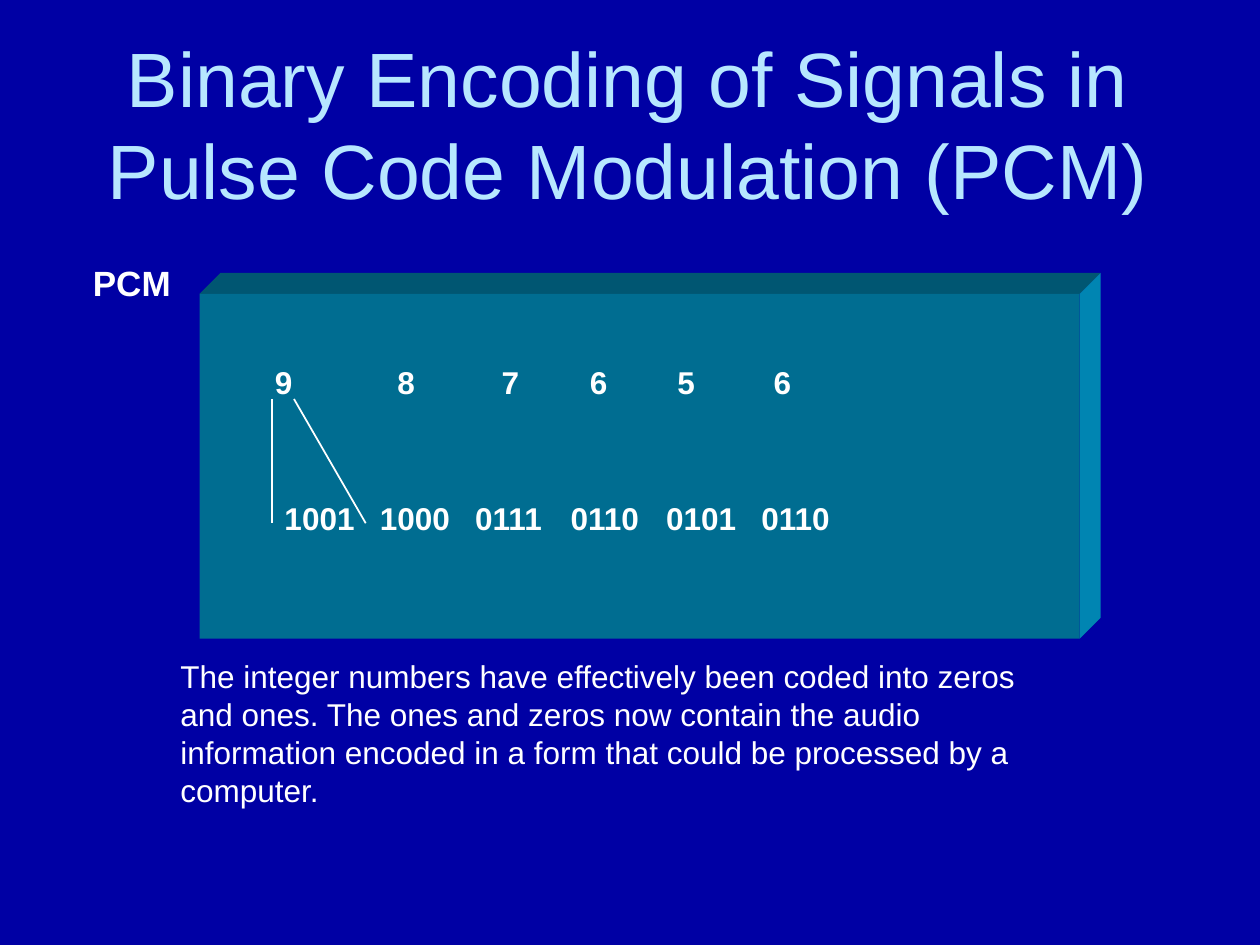
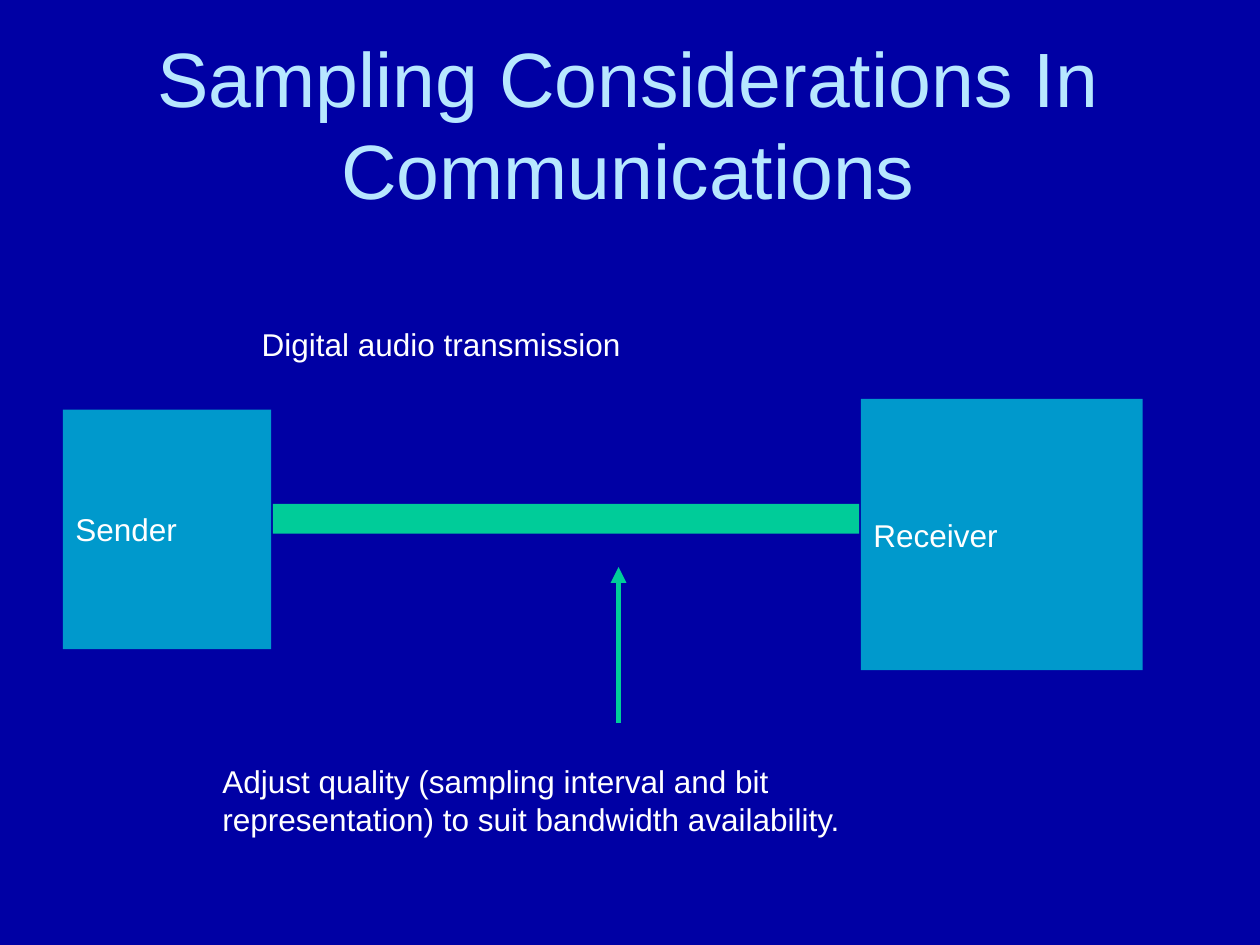
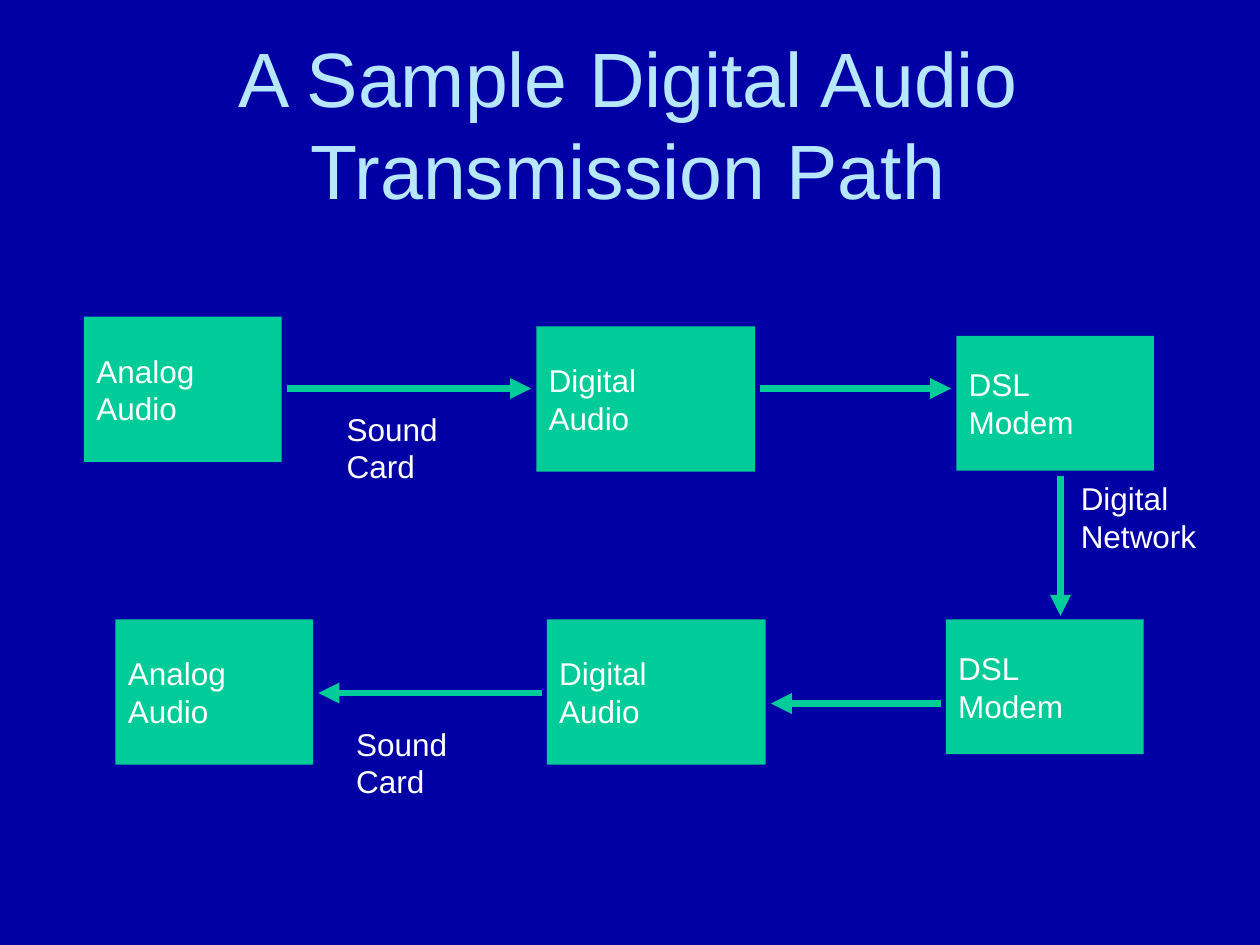
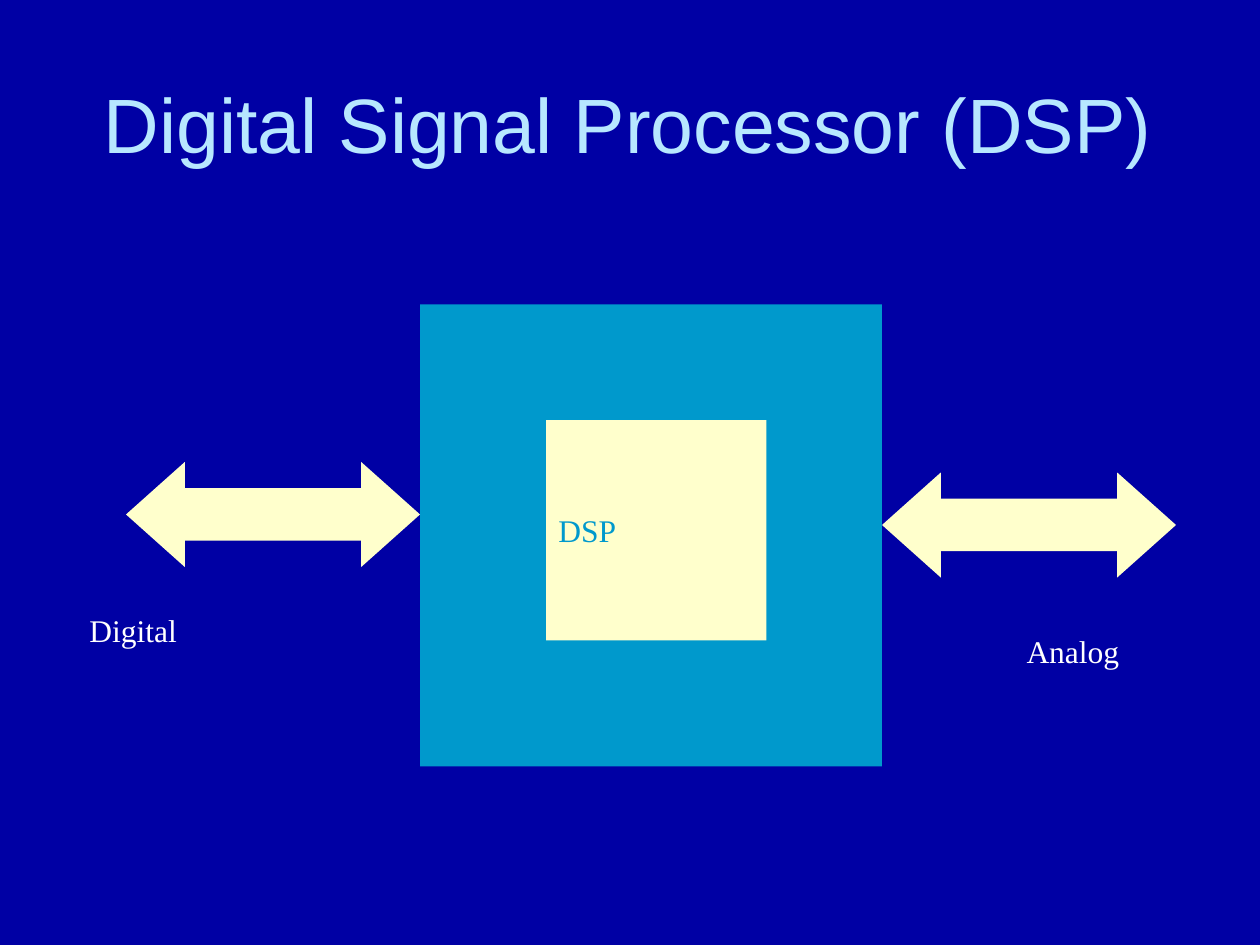
import collections

import pptx
import pptx.dml.color
import pptx.enum.shapes
import pptx.enum.text
import pptx.oxml
import pptx.oxml.ns
import pptx.util

Pt = pptx.util.Pt
SHAPE = pptx.enum.shapes.MSO_SHAPE
ANCHOR = pptx.enum.text.MSO_ANCHOR
ALIGN = pptx.enum.text.PP_ALIGN

COLORS = {
    "background": "0000A4",
    "title": "B7E7FF",
    "text": "FFFFFF",
    "blue": "0099CC",
    "green": "00CC99",
    "cream": "FFFFCC",
    "panel_front": "006D91",
    "panel_top": "005672",
    "panel_side": "0085B2",
}
SANS, SERIF = "Arial", "Times New Roman"
BODY_SIZE = 18

Box = collections.namedtuple("Box", "left top width height")
TITLE_BOX = Box(24, 18, 670, 104.5)


# Shared helpers: all lengths are in points
def color(name):
    return pptx.dml.color.RGBColor.from_string(COLORS[name])


def inside(box, left, top, width, height):
    """Return a box whose corner is measured from the corner of another."""
    return Box(box.left + left, box.top + top, width, height)


def add_xml(parent, tag, **attributes):
    element = pptx.oxml.parse_xml(f"<{tag} {pptx.oxml.ns.nsdecls('a')}/>")
    for name, value in attributes.items():
        element.set(name, str(value))
    parent.append(element)
    return element


def write(shape, text, size=BODY_SIZE, font=SANS, ink="text", bold=False,
          align=ALIGN.LEFT, anchor=ANCHOR.TOP):
    text_frame = shape.text_frame
    text_frame.word_wrap = True
    text_frame.vertical_anchor = anchor
    text_frame.text = text
    for paragraph in text_frame.paragraphs:
        paragraph.alignment = align
        for run in paragraph.runs:
            run.font.size = Pt(size)
            run.font.name = font
            run.font.bold = bold
            run.font.color.rgb = color(ink)


def add_text(slide, box, text, **style):
    shape = slide.shapes.add_textbox(*map(Pt, box))
    write(shape, text, **style)
    return shape


def paint(shape, fill):
    shape.shadow.inherit = False
    shape.fill.solid()
    shape.fill.fore_color.rgb = color(fill)
    shape.line.fill.background()


def add_block(slide, box, fill, text="", kind=SHAPE.RECTANGLE, **style):
    shape = slide.shapes.add_shape(kind, *map(Pt, box))
    paint(shape, fill)
    if text:
        write(shape, text, anchor=ANCHOR.MIDDLE, **style)
    return shape


def add_face(slide, points, fill):
    corners = [(Pt(x), Pt(y)) for x, y in points]
    builder = slide.shapes.build_freeform(*corners[0])
    builder.add_line_segments(corners[1:], close=True)
    paint(builder.convert_to_shape(), fill)


def add_line(slide, start, end, ink, width, arrow=False):
    connector = slide.shapes.add_connector(
        pptx.enum.shapes.MSO_CONNECTOR.STRAIGHT, *map(Pt, start + end))
    connector.line.color.rgb = color(ink)
    connector.line.width = Pt(width)
    if arrow:
        add_xml(connector.line._get_or_add_ln(), "a:tailEnd", type="triangle")
    add_xml(connector._element.spPr, "a:effectLst")


def add_tabbed_row(slide, box, values, stops):
    shape = add_text(slide, box, "\t".join(values), bold=True)
    properties = shape.text_frame.paragraphs[0]._p.get_or_add_pPr()
    tab_list = add_xml(properties, "a:tabLst")
    for stop in stops:
        add_xml(tab_list, "a:tab", pos=int(Pt(stop)), algn="l")


def add_titled_slide(presentation, title):
    slide = presentation.slides.add_slide(presentation.slide_layouts[6])
    add_text(slide, TITLE_BOX, title, size=44, ink="title",
             align=ALIGN.CENTER, anchor=ANCHOR.MIDDLE)
    return slide


# Binary encoding: raised panel with numbers and their codes
def draw_raised_panel(slide, box, depth=12):
    left, top = box.left, box.top
    right, bottom = left + box.width, top + box.height
    add_face(slide, [(left, top), (left + depth, top - depth),
                     (right + depth, top - depth), (right, top)], "panel_top")
    add_face(slide, [(right, top), (right + depth, top - depth),
                     (right + depth, bottom - depth), (right, bottom)],
             "panel_side")
    add_block(slide, box, "panel_front")


def draw_encoding(slide, box):
    draw_raised_panel(slide, box)
    numbers = [9, 8, 7, 6, 5, 6]
    add_tabbed_row(slide, inside(box, 36, 36, 420, 36),
                   [str(number) for number in numbers],
                   [70, 129.5, 180, 230, 285])
    add_tabbed_row(slide, inside(box, 41.5, 113.5, 438, 36),
                   [f"{number:04b}" for number in numbers],
                   [54.5 * step for step in range(1, len(numbers))])
    # Lines that open the first number out to its code
    for start, end in ((41.5, 41.5), (54, 95)):
        add_line(slide, (box.left + start, box.top + 60),
                 (box.left + end, box.top + 131), "text", 1)


# Sender, channel and receiver
def draw_transmission(slide, box):
    add_block(slide, inside(box, 0, 54, 119, 137), "blue", "Sender")
    add_block(slide, inside(box, 456, 48, 161, 155), "blue", "Receiver")
    add_block(slide, inside(box, 120, 108, 335, 17), "green")
    add_text(slide, inside(box, 106.5, 2, 297, 36),
             "Digital audio transmission")
    add_text(slide, inside(box, 84, 252, 503, 65),
             "Adjust quality (sampling interval and bit\n"
             "representation) to suit bandwidth availability.")
    x = box.left + 317.5
    add_line(slide, (x, box.top + 233), (x, box.top + 144), "green", 3, True)


# One row of the transmission path: three stages and a sound card label
STAGES = (("Analog\nAudio", 113, 83), ("Digital\nAudio", 125, 83),
          ("DSL\nModem", 113, 77))


def draw_path_row(slide, box, offsets, arrow_levels, label_at, reverse=False):
    gap = 3
    stages = []
    for (text, width, height), (left, top) in zip(STAGES, offsets):
        stage = inside(box, left, top, width, height)
        add_block(slide, stage, "green", text)
        stages.append(stage)
    for before, after, level in zip(stages, stages[1:], arrow_levels):
        y = box.top + level
        ends = [(before.left + before.width + gap, y), (after.left - gap, y)]
        if reverse:
            ends.reverse()
        add_line(slide, *ends, "green", 4, True)
    add_text(slide, inside(box, *label_at, 83, 65), "Sound\nCard")


def draw_path(slide, box):
    draw_path_row(slide, inside(box, 0, 0, 612, 115),
                  [(0, 0), (258.5, 5.5), (498.5, 11)], [41, 41], (143, 49.5))
    draw_path_row(slide, inside(box, 18, 173, 588, 122),
                  [(0, 0), (246.5, 0), (474.5, 0)], [42, 48],
                  (130.5, 56.5), reverse=True)
    # Network link between the two rows
    x = box.left + 558
    add_line(slide, (x, box.top + 91), (x, box.top + 171), "green", 4, True)
    add_text(slide, inside(box, 562.5, 89, 109, 65), "Digital\nNetwork")


# Processor with a double arrow on each side
def draw_processor(slide, box):
    add_block(slide, box, "blue")
    add_block(slide, inside(box, 72, 66, 126, 126), "cream", "DSP",
              font=SERIF, ink="blue")
    sides = (("Digital", (-168, 90), (-196, 168)),
             ("Analog", (box.width, 96), (339.5, 180)))
    for label, arrow_at, label_at in sides:
        arrow = add_block(slide, inside(box, *arrow_at, 168, 60), "cream",
                          kind=SHAPE.LEFT_RIGHT_ARROW)
        arrow.adjustments[0] = 0.5
        arrow.adjustments[1] = 0.56
        add_text(slide, inside(box, *label_at, 85, 36), label, font=SERIF,
                 anchor=ANCHOR.MIDDLE)


def main():
    presentation = pptx.Presentation()
    presentation.slide_width = Pt(720)
    presentation.slide_height = Pt(540)
    background = presentation.slide_master.background.fill
    background.solid()
    background.fore_color.rgb = color("background")

    slide = add_titled_slide(
        presentation,
        "Binary Encoding of Signals in Pulse Code Modulation (PCM)")
    draw_encoding(slide, Box(114, 168, 503, 197))
    add_text(slide, Box(96, 372, 510, 122),
             "The integer numbers have effectively been coded into zeros and "
             "ones. The ones and zeros now contain the audio information "
             "encoded in a form that could be processed by a computer.")
    add_text(slide, Box(46, 146, 61, 31), "PCM", size=20, bold=True)

    slide = add_titled_slide(
        presentation, "Sampling Considerations In Communications")
    draw_transmission(slide, Box(36, 180, 617, 317))

    slide = add_titled_slide(
        presentation, "A Sample Digital Audio Transmission Path")
    draw_path(slide, Box(48, 181, 672, 295))

    slide = add_titled_slide(presentation, "Digital Signal Processor (DSP)")
    draw_processor(slide, Box(240, 174, 264, 264))

    presentation.save("out.pptx")


if __name__ == "__main__":
    main()
